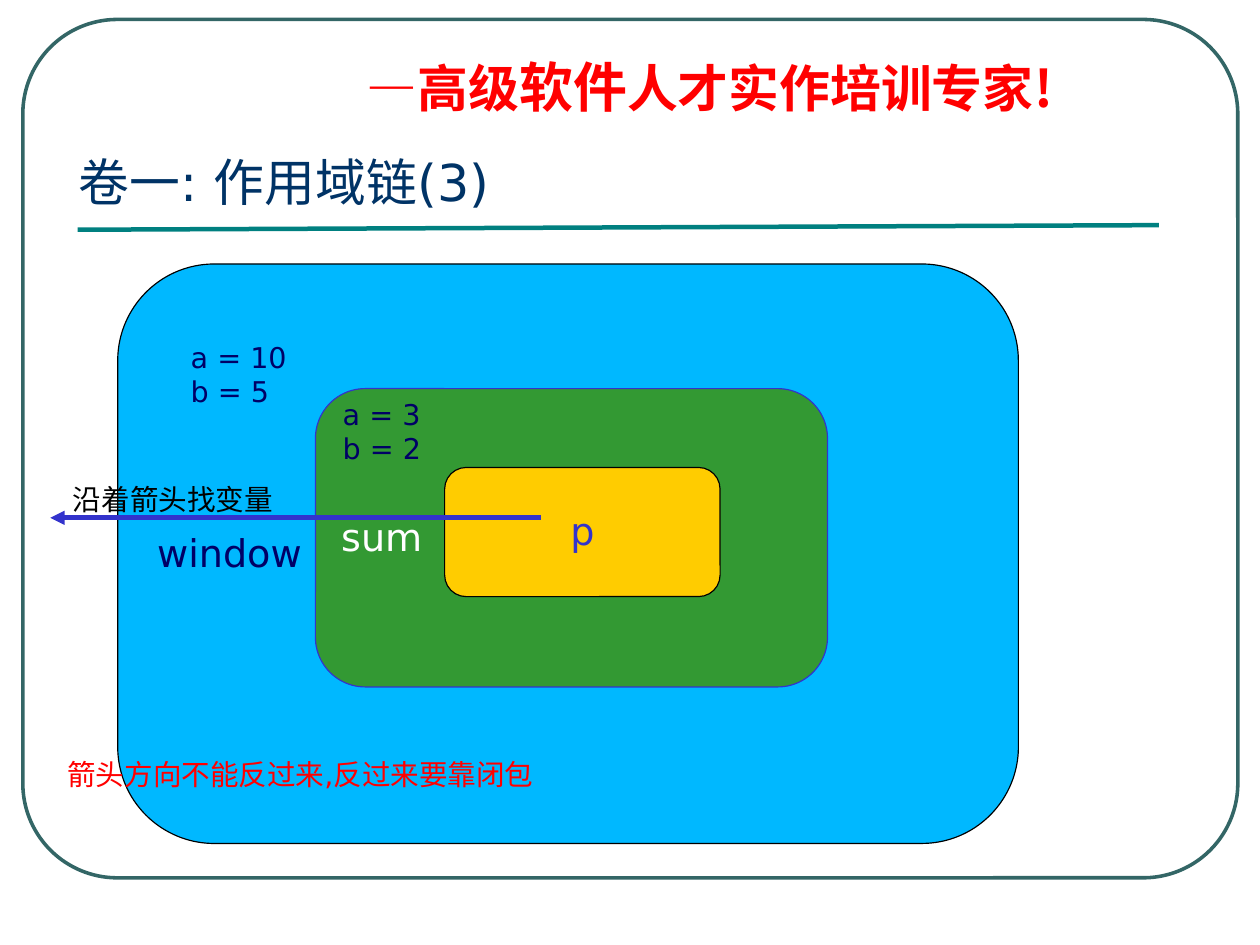
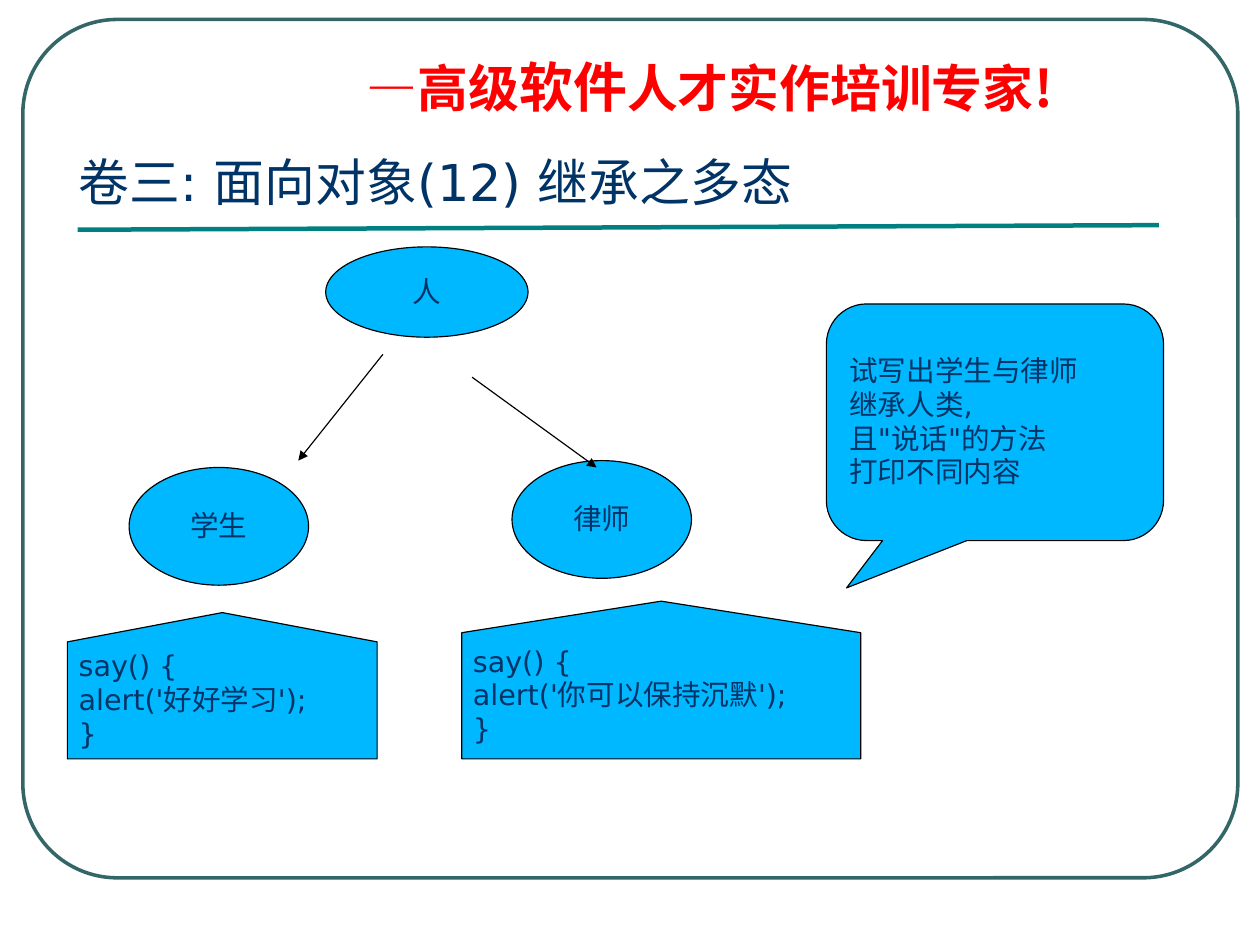
from dataclasses import dataclass

from lxml.etree import SubElement
from pptx import Presentation
from pptx.dml.color import RGBColor
from pptx.enum.shapes import MSO_CONNECTOR, MSO_SHAPE as SHAPE
from pptx.enum.text import MSO_ANCHOR as ANCHOR, PP_ALIGN as ALIGN
from pptx.oxml.ns import qn
from pptx.util import Cm, Inches, Pt


@dataclass(frozen=True)
class Theme:
    """Colours, fonts and type sizes of the deck."""
    sky: str = "00B8FF"
    green: str = "339933"
    yellow: str = "FFCC00"
    blue: str = "3333CC"
    navy: str = "000066"
    ink: str = "003366"
    red: str = "FF0000"
    black: str = "000000"
    white: str = "FFFFFF"
    frame: str = "336666"
    rule: str = "008080"
    latin: str = "DejaVu Sans"
    cjk: str = "Noto Sans CJK SC"
    title: int = 32
    accent: int = 34
    label: int = 24
    body: int = 18
    spacing: float = 0.98


T = Theme()


def rgb(color):
    """Return the colour object for a hex string."""
    return RGBColor.from_string(color)


def style(p, size, color, font=T.latin, bold=False, align=ALIGN.LEFT):
    """Set the font and the spacing of a paragraph."""
    p.alignment, p.line_spacing = align, T.spacing
    f = p.font
    f.size, f.name, f.bold = Pt(size), font, bold
    f.color.rgb = rgb(color)
    SubElement(p._p.pPr.find(qn("a:defRPr")), qn("a:ea"), typeface=T.cjk)


def write(tf, text, size, color, align=ALIGN.LEFT):
    """Fill a text frame with one paragraph per line."""
    tf.text = text
    for p in tf.paragraphs:
        style(p, size, color, align=align)


def add_text(s, box, text, size=T.body, color=T.navy, anchor=ANCHOR.TOP):
    """Add a wrapping text box."""
    tf = s.shapes.add_textbox(*map(Inches, box)).text_frame
    tf.word_wrap, tf.vertical_anchor = True, anchor
    write(tf, text, size, color)


def add_shape(s, kind, box, text="", fill=T.sky, line=T.black, width=0.75,
              size=T.body, color=T.ink, align=ALIGN.LEFT, adjust=()):
    """Add an outlined preset shape with its text."""
    sp = s.shapes.add_shape(kind, *map(Inches, box))
    sp.shadow.inherit = False
    for i, value in enumerate(adjust):
        sp.adjustments[i] = value
    if fill:
        sp.fill.solid()
        sp.fill.fore_color.rgb = rgb(fill)
    else:
        sp.fill.background()
    sp.line.color.rgb, sp.line.width = rgb(line), Pt(width)
    if text:
        tf = sp.text_frame
        tf.word_wrap, tf.vertical_anchor = False, ANCHOR.MIDDLE
        write(tf, text, size, color, align)
    return sp


def add_line(s, start, end, color=T.black, width=0.75, arrow=True):
    """Add a straight line, with an arrowhead at its end if wanted."""
    ends = map(Inches, (*start, *end))
    c = s.shapes.add_connector(MSO_CONNECTOR.STRAIGHT, *ends)
    c.line.color.rgb, c.line.width = rgb(color), Pt(width)
    if arrow:
        SubElement(c.line._get_or_add_ln(), qn("a:tailEnd"), type="triangle")
    SubElement(c._element.spPr, qn("a:effectLst"))


def add_method(s, box, speech):
    """Add an upward-pointing box that holds a say() method."""
    code = f"say() {{\nalert('{speech}');\n}}"
    sp = add_shape(s, SHAPE.FLOWCHART_OFFPAGE_CONNECTOR, box, code)
    xfrm = sp._element.spPr.find(qn("a:xfrm"))
    xfrm.set("flipH", "1")
    xfrm.set("flipV", "1")
    sp.text_frame._txBody.bodyPr.set("rot", "10800000")


def add_banner(s):
    """Add the slogan at the top of the slide."""
    box = map(Inches, (3.11, 0.48, 6.89, 0.61))
    tf = s.shapes.add_textbox(*box).text_frame
    tf.word_wrap = True
    p = tf.paragraphs[0]
    for text in ("—高级", "软件", "人才实作培训专家!"):
        p.add_run().text = text
    p.runs[1].font.size = Pt(T.accent)
    style(p, T.title, T.red, T.cjk, bold=True)
    p.line_spacing, p.space_before = 0.9, Pt(8.2)


def add_slide(prs, title):
    """Add a slide with the banner, frame, rule and title."""
    s = prs.slides.add_slide(prs.slide_layouts[6])
    add_banner(s)
    add_shape(s, SHAPE.ROUNDED_RECTANGLE, (0.2, 0.17, 10.63, 7.51),
              fill=None, line=T.frame, width=2.25, adjust=(0.11,))
    add_line(s, (0.68, 2.01), (10.14, 1.97), T.rule, 2.83, arrow=False)
    add_text(s, (0.59, 1.24, 7.78, 0.74), title, T.title, T.ink, ANCHOR.MIDDLE)
    return s


def build_scope_chain(prs):
    """Build the slide on the scope chain."""
    s = add_slide(prs, "卷一: 作用域链(3)")
    scopes = (
        ((1.03, 2.31, 7.88, 5.07), "window", T.sky, T.black, T.navy, ALIGN.LEFT),
        ((2.76, 3.4, 4.48, 2.61), "sum", T.green, T.blue, T.white, ALIGN.LEFT),
        ((3.89, 4.09, 2.41, 1.13), "p", T.yellow, T.black, T.blue, ALIGN.CENTER),
    )
    for box, name, fill, line, color, align in scopes:
        add_shape(s, SHAPE.ROUNDED_RECTANGLE, box, name, fill, line,
                  size=T.label, color=color, align=align)
    add_text(s, (2.9, 3.44, 2.29, 0.69), "a = 3\nb = 2")
    add_text(s, (1.57, 2.94, 2.29, 0.69), "a = 10\nb = 5")
    add_line(s, (4.73, 4.53), (0.44, 4.53), T.blue, 3)
    add_text(s, (0.54, 4.18, 2.46, 0.4), "沿着箭头找变量", color=T.black)
    add_text(s, (0.49, 6.59, 5.71, 0.4), "箭头方向不能反过来,反过来要靠闭包",
             color=T.red)


def build_polymorphism(prs):
    """Build the slide on inheritance and polymorphism."""
    s = add_slide(prs, "卷三: 面向对象(12) 继承之多态")
    classes = (
        ("人", (2.85, 2.16, 1.77, 0.79)),
        ("学生", (1.13, 4.09, 1.57, 1.03)),
        ("律师", (4.48, 4.03, 1.57, 1.03)),
    )
    for name, box in classes:
        add_shape(s, SHAPE.OVAL, box, name, align=ALIGN.CENTER)
    add_line(s, (3.35, 3.1), (2.61, 4.03))
    add_line(s, (4.13, 3.3), (5.22, 4.09))
    task = '试写出学生与律师\n继承人类,\n且"说话"的方法\n打印不同内容'
    add_shape(s, SHAPE.ROUNDED_RECTANGULAR_CALLOUT, (7.23, 2.66, 2.95, 2.07),
              task, adjust=(-0.44, 0.7, 0.17))
    add_method(s, (0.59, 5.36, 2.71, 1.28), "好好学习")
    add_method(s, (4.04, 5.26, 3.49, 1.38), "你可以保持沉默")


def main():
    """Build the deck and save it."""
    prs = Presentation()
    prs.slide_width = Cm(28)
    prs.slide_height = Cm(21)
    build_scope_chain(prs)
    build_polymorphism(prs)
    prs.save("out.pptx")


if __name__ == "__main__":
    main()
